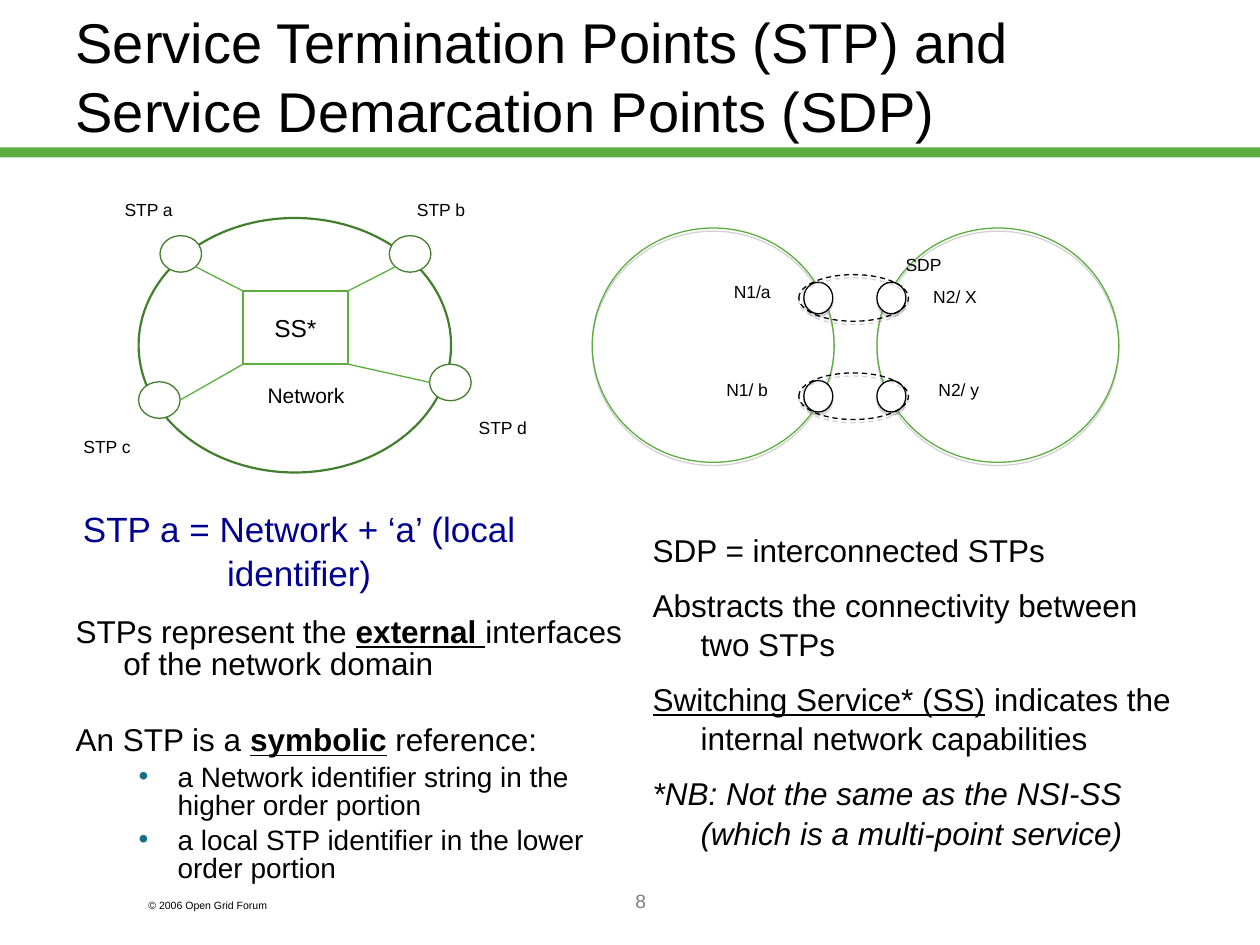
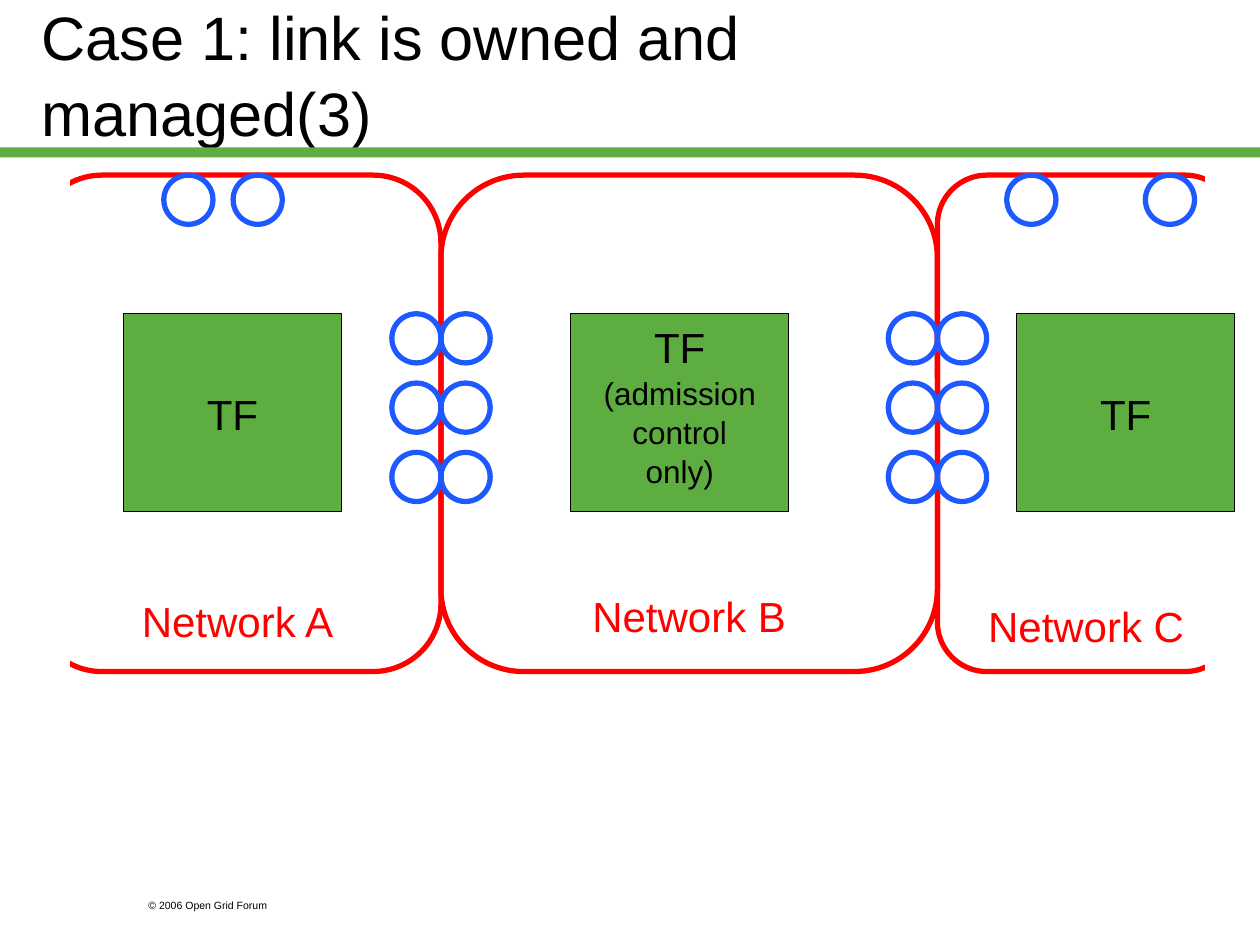
from dataclasses import dataclass

from lxml.etree import SubElement
from pptx import Presentation
from pptx.dml.color import RGBColor
from pptx.enum.dml import MSO_LINE
from pptx.enum.shapes import MSO_CONNECTOR, MSO_SHAPE
from pptx.enum.text import MSO_ANCHOR, MSO_AUTO_SIZE, PP_ALIGN
from pptx.oxml.ns import qn
from pptx.util import Inches, Pt


@dataclass(frozen=True)
class Theme:
    font: str = "Arial"
    black: str = "000000"
    white: str = "FFFFFF"
    green: str = "5DAD41"
    dark_green: str = "427E2D"
    red: str = "FF0000"
    blue: str = "1E58FF"
    navy: str = "000090"
    gray: str = "808080"
    bullet: str = "176D89"
    footer: int = 6
    label: int = 10
    page_number: int = 11
    network: int = 12
    service: int = 14
    sub_body: int = 16
    body: int = 18
    equation: int = 20
    heading: int = 24
    title: int = 32
    large_title: int = 35
    leading: float = 1.04
    tight_leading: float = 0.83


THEME = Theme()


@dataclass(frozen=True)
class Box:
    """A rectangle in inches."""
    left: float
    top: float
    width: float
    height: float

    def inner(self, left, top, width, height):
        """Return a box whose offset is measured from this one."""
        return Box(self.left + left, self.top + top, width, height)

    def lengths(self):
        return [Inches(value) for value in (self.left, self.top, self.width, self.height)]


def set_format(target, **values):
    for name, value in values.items():
        setattr(target, name, value)


def color(value):
    return RGBColor.from_string(value)


def add_run(paragraph, text, size, ink=THEME.black, **style):
    run = paragraph.add_run()
    run.text = text
    set_format(run.font, name=THEME.font, size=Pt(size), **style)
    run.font.color.rgb = color(ink)


def format_frame(frame, anchor=MSO_ANCHOR.TOP, inset=(0.1, 0.05)):
    horizontal, vertical = (Inches(value) for value in inset)
    set_format(frame, word_wrap=True, auto_size=MSO_AUTO_SIZE.NONE, vertical_anchor=anchor,
               margin_left=horizontal, margin_right=horizontal,
               margin_top=vertical, margin_bottom=vertical)


def write_lines(shape, lines, ink=THEME.black, anchor=MSO_ANCHOR.MIDDLE,
                align=PP_ALIGN.CENTER, inset=(0.1, 0.05)):
    """Fill a shape with (text, size) lines."""
    frame = shape.text_frame
    format_frame(frame, anchor, inset)
    for index, (text, size) in enumerate(lines):
        paragraph = frame.paragraphs[0] if index == 0 else frame.add_paragraph()
        set_format(paragraph, alignment=align, line_spacing=THEME.leading)
        add_run(paragraph, text, size, ink)


def add_text(slide, box, text, size, **options):
    write_lines(slide.shapes.add_textbox(*box.lengths()), [(text, size)], **options)


def add_label(slide, region, center, text, size=THEME.label):
    width, height = 1.2, 0.4
    box = region.inner(center[0] - width / 2, center[1] - height / 2, width, height)
    add_text(slide, box, text, size)


def add_figure(slide, kind, box, fill=None, line=None, weight=0.75):
    shape = slide.shapes.add_shape(kind, *box.lengths())
    shape.shadow.inherit = False
    if fill:
        shape.fill.solid()
        shape.fill.fore_color.rgb = color(fill)
    else:
        shape.fill.background()
    if line:
        shape.line.color.rgb = color(line)
        shape.line.width = Pt(weight)
    else:
        shape.line.fill.background()
    return shape


def add_drop_shadow(shape):
    effects = shape._element.spPr.find(qn("a:effectLst"))
    shadow = SubElement(effects, qn("a:outerShdw"), dist=str(Pt(1.8)), dir="5400000",
                        algn="ctr", rotWithShape="0")
    tint = SubElement(shadow, qn("a:srgbClr"), val=THEME.gray)
    SubElement(tint, qn("a:alpha"), val="35000")


def add_shadowed_ellipse(slide, box, **style):
    shape = add_figure(slide, MSO_SHAPE.OVAL, box, **style)
    add_drop_shadow(shape)
    return shape


def add_line(slide, start, end):
    points = [Inches(value) for value in (*start, *end)]
    connector = slide.shapes.add_connector(MSO_CONNECTOR.STRAIGHT, *points)
    SubElement(connector._element.spPr, qn("a:effectLst"))
    connector.line.color.rgb = color(THEME.green)
    connector.line.width = Pt(0.75)


def start_slide(presentation, layout_index, title, box, size):
    """Add a slide with its title, green band and copyright line."""
    slide = presentation.slides.add_slide(presentation.slide_layouts[layout_index])
    add_figure(slide, MSO_SHAPE.RECTANGLE, Box(0, 1.17, 10, 0.08), fill=THEME.green)
    add_text(slide, Box(1.08, 7.08, 1.5, 0.2), "© 2006 Open Grid Forum", THEME.footer,
             anchor=MSO_ANCHOR.TOP, align=PP_ALIGN.LEFT)
    place(slide.shapes.title, box)
    write_lines(slide.shapes.title, [(title, size)], align=PP_ALIGN.LEFT)
    return slide


def place(shape, box):
    left, top, width, height = box.lengths()
    set_format(shape, left=left, top=top, width=width, height=height)


def indent(paragraph, margin, hanging, bullet=None):
    properties = paragraph._p.get_or_add_pPr()
    properties.set("marL", str(Inches(margin)))
    properties.set("indent", str(-Inches(hanging)))
    if bullet:
        tint = SubElement(properties, qn("a:buClr"))
        SubElement(tint, qn("a:srgbClr"), val=THEME.bullet)
        SubElement(properties, qn("a:buFont"), typeface=THEME.font)
        SubElement(properties, qn("a:buChar"), char=bullet)
    else:
        SubElement(properties, qn("a:buNone"))


def fill_body(placeholder, box, paragraphs, leading):
    """Write (level, space before, runs) paragraphs; a run is (text, style)."""
    place(placeholder, box)
    frame = placeholder.text_frame
    format_frame(frame)
    for index, (level, space, runs) in enumerate(paragraphs):
        paragraph = frame.paragraphs[0] if index == 0 else frame.add_paragraph()
        if level:
            indent(paragraph, 0.81, 0.31, "•")
        else:
            indent(paragraph, 0.38, 0.38)
        set_format(paragraph, level=level, alignment=PP_ALIGN.LEFT, line_spacing=leading,
                   space_before=Pt(space), space_after=Pt(0))
        for text, style in runs:
            add_run(paragraph, text, THEME.sub_body if level else THEME.body, **style)


def draw_network(slide, box):
    """Draw one network with its switching service and four termination points."""
    add_figure(slide, MSO_SHAPE.OVAL, box, line=THEME.dark_green, weight=1.25)
    service = box.inner(0.83, 0.58, 0.83, 0.58)
    shape = add_figure(slide, MSO_SHAPE.RECTANGLE, service, line=THEME.green, weight=1)
    write_lines(shape, [("SS*", THEME.service)], inset=(0.04, 0.04))
    # name, point offset, label centre, line end on the point, service corner
    points = [
        ("STP a", (0.17, 0.14), (0.08, -0.07), (0.85, 0.85), (0, 0)),
        ("STP b", (1.99, 0.14), (2.4, -0.07), (0.15, 0.85), (1, 0)),
        ("STP c", (0, 1.3), (-0.25, 1.81), (1, 0.5), (0, 1)),
        ("STP d", (2.31, 1.16), (2.89, 1.66), (0, 0.5), (1, 1)),
    ]
    for name, offset, center, touch, corner in points:
        point = box.inner(*offset, 0.33, 0.29)
        add_figure(slide, MSO_SHAPE.OVAL, point, fill=THEME.white, line=THEME.dark_green)
        ends = [(part.left + x * part.width, part.top + y * part.height)
                for part, (x, y) in ((service, corner), (point, touch))]
        add_line(slide, *ends)
        add_label(slide, box, center, name)
    add_label(slide, box, (1.33, 1.4), "Network", THEME.network)


def draw_demarcation(slide, box):
    """Draw two networks whose facing points pair up as demarcation points."""
    network_lefts, port_lefts, port_tops = (0, 2.26), (1.68, 2.26), (0.43, 1.21)
    for left in network_lefts:
        add_shadowed_ellipse(slide, box.inner(left, 0, 1.92, 1.86), line=THEME.green)
    for top in port_tops:
        for left in port_lefts:
            add_shadowed_ellipse(slide, box.inner(left, top, 0.23, 0.25),
                                 fill=THEME.white, line=THEME.black)
        pair = add_shadowed_ellipse(slide, box.inner(1.64, top - 0.06, 0.87, 0.37),
                                    line=THEME.black)
        pair.line.dash_style = MSO_LINE.DASH
    for text, center in [("N1/a", (1.27, 0.5)), ("N1/ b", (1.23, 1.28)), ("N2/ X", (2.88, 0.54)),
                         ("N2/ y", (2.91, 1.28)), ("SDP", (2.63, 0.29))]:
        add_label(slide, box, center, text)


def build_points_slide(presentation):
    slide = start_slide(
        presentation, 3, "Service Termination Points (STP) and Service Demarcation Points (SDP)",
        Box(0.5, 0, 7.76, 1.18), THEME.title)
    draw_network(slide, Box(1.1, 1.73, 2.48, 2.02))
    draw_demarcation(slide, Box(4.7, 1.81, 4.18, 1.86))
    add_text(slide, Box(0.5, 4.15, 3.75, 0.43), "STP a = Network + ‘a’ (local identifier)",
             THEME.equation, ink=THEME.navy)
    plain, strong = {}, {"bold": True, "underline": True}
    fill_body(slide.placeholders[1], Box(0.5, 4.86, 4.6, 2.28), [
        (0, 0, [("STPs represent the ", plain), ("external ", strong),
                ("interfaces of the network domain", plain)]),
        (0, 26, [("An STP is a ", plain), ("symbolic", strong), (" reference:", plain)]),
        (1, 4, [("a Network identifier string in the higher order portion", plain)]),
        (1, 4, [("a local STP identifier in the lower order portion", plain)]),
    ], THEME.tight_leading)
    fill_body(slide.placeholders[2], Box(5.08, 4.15, 4.42, 2.55), [
        (0, 0, [("SDP = interconnected STPs", plain)]),
        (0, 9, [("Abstracts the connectivity between two STPs", plain)]),
        (0, 9, [("Switching Service* (SS)", {"underline": True}),
                (" indicates the internal network capabilities", plain)]),
        (0, 9, [("*NB: Not the same as the NSI-SS (which is a multi-point service)",
                 {"italic": True})]),
    ], THEME.leading)
    add_text(slide, Box(2.17, 7, 5.83, 0.5), "8", THEME.page_number, ink=THEME.gray,
             anchor=MSO_ANCHOR.TOP)


def draw_linked_networks(slide, box):
    """Draw three touching networks, the outer two cut off at the box's ends."""
    edges = (0, 3.23, 7.17, 9.53)
    for name, left, right in zip("ABC", edges, edges[1:]):
        network = add_figure(slide, MSO_SHAPE.ROUNDED_RECTANGLE,
                             box.inner(left, 0, right - left, box.height),
                             line=THEME.red, weight=3)
        write_lines(network, [(f"Network {name}", THEME.heading)], ink=THEME.red,
                    anchor=MSO_ANCHOR.BOTTOM)
    for left, top in ((9.3, -0.08), (-0.07, 0)):
        add_figure(slide, MSO_SHAPE.RECTANGLE, box.inner(left, top, 0.35, 4.41),
                   fill=THEME.white, line=THEME.white)

    port, pitch, row_top = 0.39, 0.55, 1.1
    link_ports = [(edge - side * port, row_top + row * pitch)
                  for edge in edges[1:3] for side in (0, 1) for row in range(3)]
    top_ports = [(left, 0) for left in (1.03, 1.03 + pitch, 7.72, 7.72 + 2 * pitch)]
    for left, top in link_ports + top_ports:
        add_figure(slide, MSO_SHAPE.OVAL, box.inner(left, top, port, port),
                   line=THEME.blue, weight=3)

    admission = [(text, THEME.body) for text in ("(admission", "control", "only)")]
    for left, extra, anchor in ((0.71, [], MSO_ANCHOR.MIDDLE),
                                (4.26, admission, MSO_ANCHOR.TOP),
                                (7.8, [], MSO_ANCHOR.MIDDLE)):
        function = add_figure(slide, MSO_SHAPE.RECTANGLE, box.inner(left, row_top, 1.73, 1.57),
                              fill=THEME.green, line=THEME.black)
        write_lines(function, [("TF", THEME.heading)] + extra, anchor=anchor)


def build_case_slide(presentation):
    slide = start_slide(presentation, 5, "Case 1: link is owned and managed(3)",
                        Box(0.23, 0, 7.99, 1.15), THEME.large_title)
    draw_linked_networks(slide, Box(0.27, 1.39, 9.53, 3.94))


def main():
    presentation = Presentation()
    set_format(presentation, slide_width=Inches(10), slide_height=Inches(7.5))
    build_points_slide(presentation)
    build_case_slide(presentation)
    presentation.save("out.pptx")


if __name__ == "__main__":
    main()
